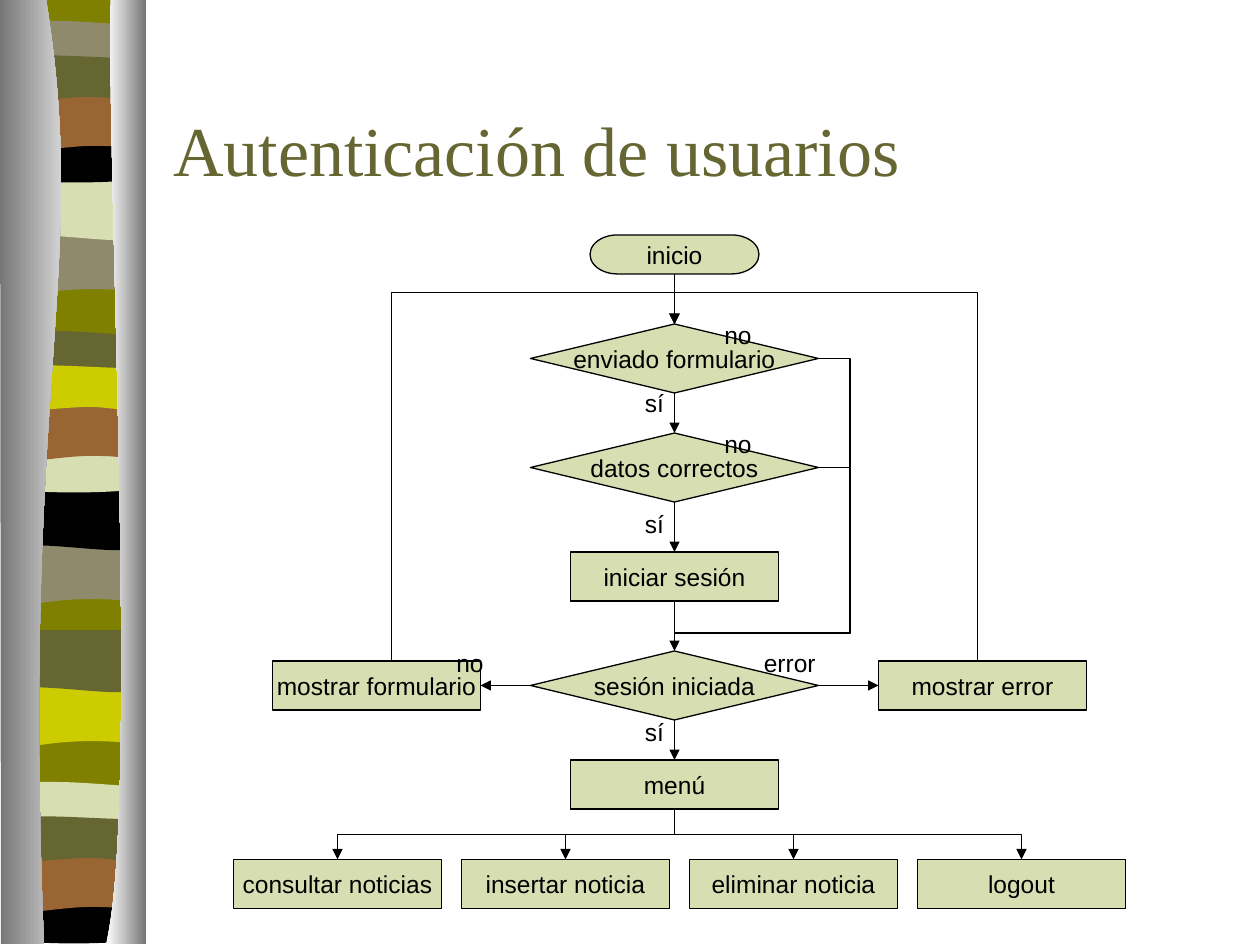
from dataclasses import dataclass

from lxml.etree import SubElement
from pptx import Presentation
from pptx.dml.color import RGBColor
from pptx.enum.shapes import MSO_CONNECTOR as Line, MSO_SHAPE as Preset
from pptx.enum.text import MSO_ANCHOR as Anchor, PP_ALIGN as Align
from pptx.oxml.ns import qn
from pptx.util import Pt


@dataclass(frozen=True)
class Theme:
    olive: str = "808000"
    stone: str = "908A6C"
    pale: str = "D6DEB2"
    moss: str = "666633"
    rust: str = "996633"
    lime: str = "CCCC00"
    black: str = "000000"
    white: str = "FFFFFF"
    grey: str = "767676"
    title_font: str = "Times New Roman"
    body_font: str = "Arial"
    title_size: int = 40
    body_size: int = 14
    space_before: float = 3.5
    line_width: float = 0.75


THEME = Theme()
PX = 914400 / 126
PAGE_W, PAGE_H = 1260, 945

# Band outlines in px: pairs are corners, triples are cubic curves (two handles, end)
BAND_W = 136
WAVE = [(136, 0), (136, 59), ((42, 49), (23, 69), (0, 59)), (0, 0)]
RIPPLE = [(136, 0), (136, 59), ((113, 69), (42, 52), (0, 59)), (0, 0)]
ARCH = [(136, 6), (136, 37), ((113, 43), (23, 43), (0, 37)), (0, 6),
        ((9, 0), (29, 1), (52, 1)), ((74, 1), (118, 5), (136, 6))]
BOWL = [(136, 0), (136, 42), ((113, 48), (23, 48), (0, 42)), (0, 0),
        ((83, 6), (107, 0), (136, 0))]
STEP = [(136, 0), (136, 60), ((115, 53), (106, 53), (83, 53)),
        ((60, 53), (20, 60), (0, 60)), (0, 0)]
SWELL = [(136, 6), (136, 45), ((127, 52), (106, 45), (83, 45)),
         ((60, 45), (14, 52), (0, 45)), (0, 6),
         ((19, 0), (92, 6), (115, 6)), ((138, 6), (131, 6), (136, 6))]
BAND_TOPS = [(WAVE, 233), (RIPPLE, 178), (ARCH, 20), (BOWL, 136), (STEP, 93), (SWELL, 52)]

# Each cycle: left, shift of the first two bands, shift of the others, colours
BAND_CYCLES = [
    (8, 0, 0, ["stone", "pale", "stone", "black", "rust", "moss"]),
    (6, 310, 310, ["stone", "black", "moss", "pale", "rust", "lime"]),
    (6, 452, 761, ["lime", "moss", "pale", "black", "rust", "moss"]),
]
LEFT_EDGE = [(46, -1), ((90, 272), (21, 373), (44, 944)), (1, 944), (0, -1)]
RIGHT_EDGE = [(111, -1), ((106, 158), (140, 814), (106, 944)), (146, 944), (146, 0)]

TITLE = ("Autenticación de usuarios", (161, 63, 1071, 171))
AXIS = 674.5
SIZES = {
    Preset.FLOWCHART_TERMINATOR: (169, 39),
    Preset.FLOWCHART_DECISION: (288, 69),
    Preset.FLOWCHART_PROCESS: (208, 49),
}
# text, preset, centre x, top
STEPS = [
    ("inicio", Preset.FLOWCHART_TERMINATOR, AXIS, 235),
    ("enviado formulario", Preset.FLOWCHART_DECISION, AXIS, 324),
    ("datos correctos", Preset.FLOWCHART_DECISION, AXIS, 433),
    ("iniciar sesión", Preset.FLOWCHART_PROCESS, AXIS, 552),
    ("sesión iniciada", Preset.FLOWCHART_DECISION, AXIS, 651),
    ("menú", Preset.FLOWCHART_PROCESS, AXIS, 760),
]
SIDE_STEPS = [
    ("mostrar formulario", Preset.FLOWCHART_PROCESS, 376.5, 661),
    ("mostrar error", Preset.FLOWCHART_PROCESS, 982.5, 661),
]
OPTIONS = ["consultar noticias", "insertar noticia", "eliminar noticia", "logout"]
OPTION_X, OPTION_STEP, OPTION_TOP = 337.5, 228, 859.5
LABELS = [
    ("sí", 632.5, 711), ("sí", 632.5, 503), ("sí", 632.5, 382),
    ("no", 712, 314), ("no", 712, 423), ("no", 444, 641.5), ("error", 751.5, 641.5),
]
TOP, LEFT, BOTTOM, RIGHT = range(4)

prs = Presentation()
prs.slide_width, prs.slide_height = round(PAGE_W * PX), round(PAGE_H * PX)
slide = prs.slides.add_slide(prs.slide_layouts[6])
shapes = slide.shapes


def emu(*lengths):
    return [round(length * PX) for length in lengths]


def rgb(name):
    return RGBColor.from_string(getattr(THEME, name))


def curve_segments(shape, outline):
    """Merge the three lines drawn for each curve into one cubic segment."""
    path_element = shape._element.spPr.find(".//" + qn("a:path"))
    lines = iter(path_element.findall(qn("a:lnTo")))
    for part in outline[1:]:
        line = next(lines)
        if len(part) == 3:
            line.tag = qn("a:cubicBezTo")
            for _ in range(2):
                extra = next(lines)
                line.append(extra[0])
                path_element.remove(extra)


def add_outline(outline, *colours, left=0, top=0):
    """One colour fills solid, two fill from left to right."""
    points = []
    for part in outline:
        points += [part] if len(part) == 2 else part
    start, *others = [emu(left + x, top + y) for x, y in points]
    builder = shapes.build_freeform(*start)
    builder.add_line_segments(others)
    shape = builder.convert_to_shape()
    curve_segments(shape, outline)
    shape.shadow.inherit = False
    shape.line.fill.background()
    if len(colours) == 1:
        shape.fill.solid()
        shape.fill.fore_color.rgb = rgb(colours[0])
    else:
        shape.fill.gradient()
        shape.fill.gradient_angle = 0
        for stop, colour in zip(shape.fill.gradient_stops, colours):
            stop.color.rgb = rgb(colour)


def write(frame, text, font, size, colour, align=Align.LEFT, anchor=Anchor.MIDDLE,
          wrap=True, before=0):
    frame.text = text
    frame.word_wrap, frame.vertical_anchor = wrap, anchor
    paragraph = frame.paragraphs[0]
    paragraph.alignment, paragraph.space_before = align, Pt(before)
    style = paragraph.runs[0].font
    style.name, style.size, style.color.rgb = font, Pt(size), rgb(colour)


def write_body(frame, text, **layout):
    write(frame, text, THEME.body_font, THEME.body_size, "black",
          before=THEME.space_before, **layout)


def add_step(text, preset, centre, top):
    width, height = SIZES[preset]
    step = shapes.add_shape(preset, *emu(centre - width / 2, top, width, height))
    step.shadow.inherit = False
    step.fill.solid()
    step.fill.fore_color.rgb = rgb("pale")
    step.line.color.rgb, step.line.width = rgb("black"), Pt(THEME.line_width)
    write_body(step.text_frame, text, align=Align.CENTER, wrap=False)
    return step


def add_line(kind, start=(0, 0), end=(0, 0), arrow=True):
    line = shapes.add_connector(kind, *emu(*start, *end))
    line.line.color.rgb, line.line.width = rgb("black"), Pt(THEME.line_width)
    if arrow:
        SubElement(line.line._get_or_add_ln(), qn("a:tailEnd"), type="triangle")
    SubElement(line._element.spPr, qn("a:effectLst"))
    return line


def join(source, source_side, target, target_side):
    arrow = add_line(Line.STRAIGHT)
    arrow.begin_connect(source, source_side)
    arrow.end_connect(target, target_side)


def bend(line, preset, *fractions):
    geometry = line._element.spPr.find(qn("a:prstGeom"))
    geometry.set("prst", preset)
    guides = geometry.find(qn("a:avLst"))
    for i, fraction in enumerate(fractions, 1):
        SubElement(guides, qn("a:gd"), name=f"adj{i}", fmla=f"val {round(fraction * 100000)}")


def add_vertical_elbow(start, end, middle_y):
    """Leave and arrive vertically: a horizontal elbow turned by 90 degrees."""
    (x1, y1), (x2, y2) = start, end
    cx, cy, half_w, half_h = (x1 + x2) / 2, (y1 + y2) / 2, (y2 - y1) / 2, (x1 - x2) / 2
    elbow = add_line(Line.ELBOW, (cx - half_w, cy - half_h), (cx + half_w, cy + half_h))
    elbow.rotation = 90
    bend(elbow, "bentConnector3", (middle_y - y1) / (y2 - y1))


def add_bypass(start, end, outer_x, lower_y):
    """Leave to the right, pass round the next steps and rejoin the axis."""
    (x1, y1), (x2, y2) = start, end
    bypass = add_line(Line.ELBOW, start, end, arrow=False)
    bend(bypass, "bentConnector4", (outer_x - x1) / (x2 - x1), (lower_y - y1) / (y2 - y1))


add_outline([(BAND_W, -1), (BAND_W, 941), (0, 941), (0, -1)], "olive", left=8)
for left, first_shift, shift, colours in BAND_CYCLES:
    for i, ((outline, top), colour) in enumerate(zip(BAND_TOPS, colours)):
        add_outline(outline, colour, left=left, top=top + (first_shift if i < 2 else shift))
add_outline(LEFT_EDGE, "grey", "white")
add_outline(RIGHT_EDGE, "white", "grey")

title, title_box = TITLE
write(shapes.add_textbox(*emu(*title_box)).text_frame, title,
      THEME.title_font, THEME.title_size, "moss")

flow = [add_step(*step) for step in STEPS]
form, error = [add_step(*step) for step in SIDE_STEPS]
for upper, lower in zip(flow, flow[1:]):
    join(upper, BOTTOM, lower, TOP)
session = flow[4]
join(session, LEFT, form, RIGHT)
join(session, RIGHT, error, LEFT)

for loop_x in (391.5, 977.5):
    add_vertical_elbow((loop_x, 661), (AXIS, 324), 292.5)
for decision_y in (358.5, 467.5):
    add_bypass((818.5, decision_y), (AXIS, 601), 850, 633)
for i, option in enumerate(OPTIONS):
    centre = OPTION_X + i * OPTION_STEP
    add_step(option, Preset.FLOWCHART_PROCESS, centre, OPTION_TOP)
    add_vertical_elbow((AXIS, 809.5), (centre, OPTION_TOP), 834.5)

for text, left, top in LABELS:
    label = shapes.add_textbox(*emu(left, top, 140, 43))
    write_body(label.text_frame, text, anchor=Anchor.TOP)

prs.save("out.pptx")
